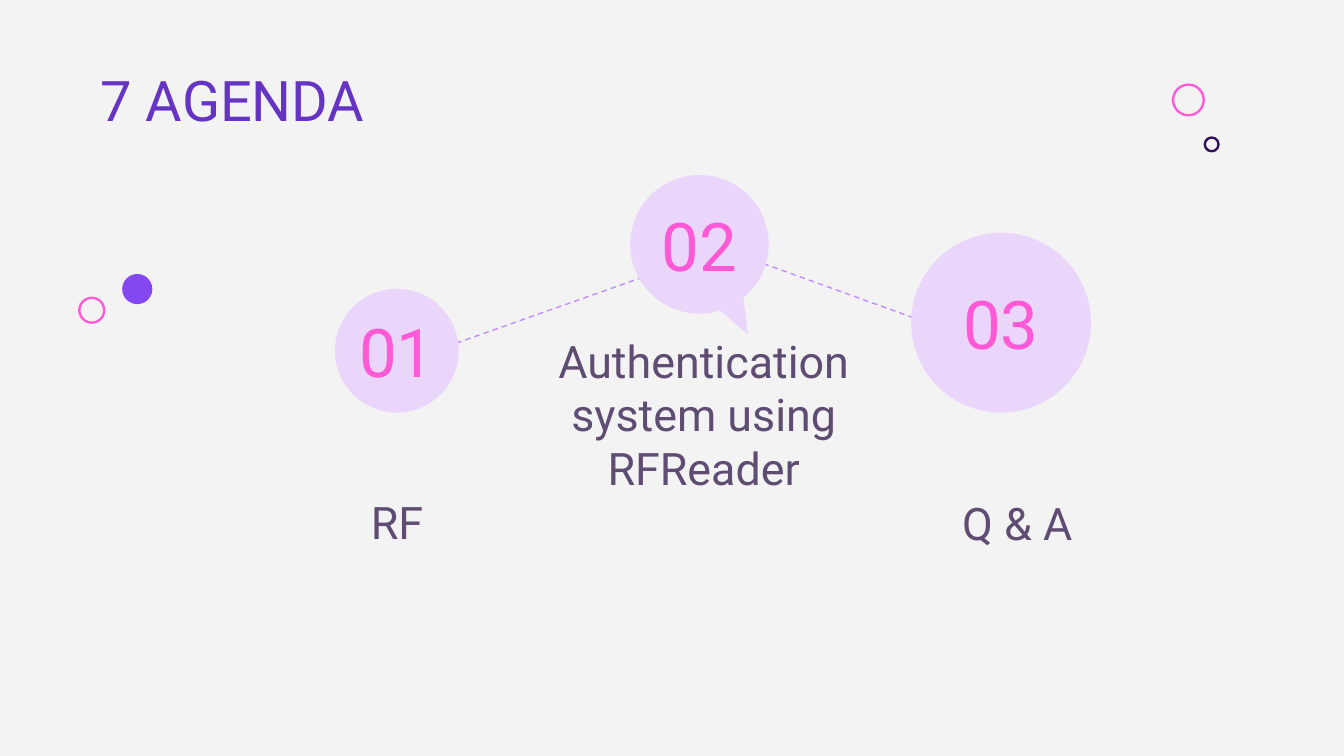
from dataclasses import dataclass

from lxml.etree import SubElement
from pptx import Presentation
from pptx.dml.color import RGBColor
from pptx.enum.dml import MSO_LINE_DASH_STYLE as Dash
from pptx.enum.shapes import MSO_CONNECTOR as Connector, MSO_SHAPE as Shape
from pptx.enum.text import MSO_ANCHOR as Anchor, MSO_AUTO_SIZE as AutoSize, PP_ALIGN as Align
from pptx.oxml.ns import qn
from pptx.util import Cm, Pt


@dataclass(frozen=True)
class Theme:
    font: str = "Roboto"
    background: str = "F3F3F3"
    title: str = "6634C3"
    label: str = "5E4C72"
    accent: str = "FF59D6"
    bubble: str = "EAD5FB"
    path_line: str = "C08CFF"
    dot: str = "8348F0"
    dark: str = "300D59"
    title_size: float = 30
    label_size: float = 24
    number_size: float = 36
    ring_width: float = 1.25
    path_width: float = 0.75


@dataclass(frozen=True)
class Box:
    left: float
    top: float
    width: float
    height: float

    @classmethod
    def around(cls, x, y, width, height):
        return cls(x - width / 2, y - height / 2, width, height)

    def lengths(self):
        return Cm(self.left), Cm(self.top), Cm(self.width), Cm(self.height)


THEME = Theme()


def color(value):
    return RGBColor.from_string(value)


def write_text(shape, text, size, text_color, align, anchor):
    frame = shape.text_frame
    frame.text = text
    frame.word_wrap = True
    frame.auto_size = AutoSize.NONE
    frame.vertical_anchor = anchor
    frame.margin_left = frame.margin_right = Cm(0.25)
    frame.margin_top = frame.margin_bottom = Cm(0.25)
    paragraph = frame.paragraphs[0]
    paragraph.alignment = align
    font = paragraph.runs[0].font
    font.name = THEME.font
    font.size = Pt(size)
    font.color.rgb = color(text_color)


def add_text(slide, box, text, size, text_color, anchor):
    shape = slide.shapes.add_textbox(*box.lengths())
    write_text(shape, text, size, text_color, Align.CENTER, anchor)


def add_filled(slide, box, fill, kind=Shape.OVAL):
    shape = slide.shapes.add_shape(kind, *box.lengths())
    shape.shadow.inherit = False
    shape.fill.solid()
    shape.fill.fore_color.rgb = color(fill)
    shape.line.fill.background()
    return shape


def add_ring(slide, box, line_color):
    shape = slide.shapes.add_shape(Shape.OVAL, *box.lengths())
    shape.shadow.inherit = False
    shape.fill.background()
    shape.line.color.rgb = color(line_color)
    shape.line.width = Pt(THEME.ring_width)


def add_path(slide, start, end):
    connector = slide.shapes.add_connector(
        Connector.STRAIGHT, *(Cm(value) for value in start + end)
    )
    connector.line.color.rgb = color(THEME.path_line)
    connector.line.width = Pt(THEME.path_width)
    connector.line.dash_style = Dash.DASH
    SubElement(connector._element.spPr, qn("a:effectLst"))


def add_title(slide, box, text):
    title = slide.shapes.title
    title.left, title.top, title.width, title.height = box.lengths()
    write_text(title, text, THEME.title_size, THEME.title, Align.LEFT, Anchor.TOP)


def add_right_ornament(slide, box):
    large, small = 0.58, 0.26
    add_ring(slide, Box(box.left, box.top, large, large), THEME.accent)
    corner = Box(box.left + box.width - small, box.top + box.height - small, small, small)
    add_ring(slide, corner, THEME.dark)


def add_left_ornament(slide, box):
    dot, ring = 0.57, 0.47
    add_filled(slide, Box(box.left + box.width - dot, box.top, dot, dot), THEME.dot)
    corner = Box(box.left, box.top + box.height - ring, ring, ring)
    add_ring(slide, corner, THEME.accent)


def add_agenda_item(slide, box, label_box, number, label, tail=None):
    kind = Shape.OVAL_CALLOUT if tail else Shape.OVAL
    bubble = add_filled(slide, box, THEME.bubble, kind)
    for index, value in enumerate(tail or ()):
        bubble.adjustments[index] = value
    number_box = Box.around(box.left + box.width / 2, box.top + box.height / 2, 2.4, 1.6)
    add_text(slide, number_box, number, THEME.number_size, THEME.accent, Anchor.MIDDLE)
    add_text(slide, label_box, label, THEME.label_size, THEME.label, Anchor.BOTTOM)


def build_agenda(slide):
    slide.background.fill.solid()
    slide.background.fill.fore_color.rgb = color(THEME.background)
    add_right_ornament(slide, Box(22.17, 1.6, 0.86, 1.26))
    add_left_ornament(slide, Box(1.5, 5.18, 1.38, 0.92))
    add_title(slide, Box(1.65, 0.99, 18.69, 1.8), "7 AGENDA")

    add_path(slide, (13.23, 4.55), (18.77, 6.55))
    add_path(slide, (7.42, 6.91), (13.31, 4.83))

    items = [
        (7.5, 6.63, 2.34, Box(5.13, 8.26, 4.75, 2.36), "01", "RF", None),
        (13.22, 4.62, 2.62, Box(9.45, 7.8, 7.7, 1.8), "02",
         "Authentication system using RFReader", (0.35, 0.65)),
        (18.92, 6.1, 3.4, Box(15.29, 8.2, 7.87, 2.44), "03", "Q & A", None),
    ]
    for x, y, diameter, label_box, number, label, tail in items:
        box = Box.around(x, y, diameter, diameter)
        add_agenda_item(slide, box, label_box, number, label, tail)


def main():
    presentation = Presentation()
    presentation.slide_width = Cm(25.4)
    presentation.slide_height = Cm(14.29)
    title_only = presentation.slide_layouts.get_by_name("Title Only")
    build_agenda(presentation.slides.add_slide(title_only))
    presentation.save("out.pptx")


if __name__ == "__main__":
    main()
